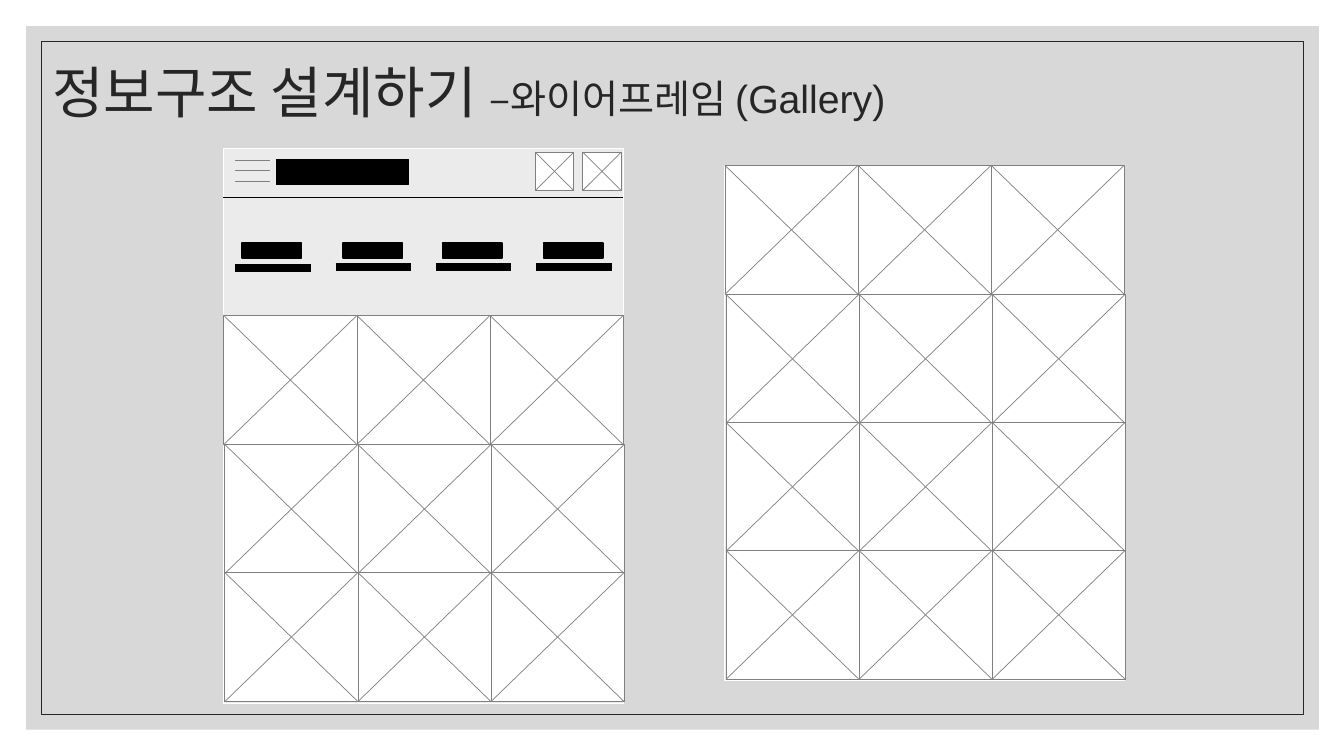
from dataclasses import dataclass

from pptx import Presentation
from pptx.dml import color
from pptx.enum import shapes, text
from pptx.oxml import xmlchemy
from pptx.util import Pt

PX = 9144


@dataclass(frozen=True)
class Theme:
    font: str = "Arial"
    heading_size: int = 40
    subheading_size: int = 28
    ink: str = "262626"
    backdrop: str = "BFBFBF"
    paper: str = "FFFFFF"
    block: str = "000000"
    wire: str = "808080"
    hairline: float = 0.5


THEME = Theme()


def px(*lengths):
    return [length * PX for length in lengths]


def rgb(value):
    return color.RGBColor.from_string(value)


def set_line(line, stroke, weight):
    line.color.rgb = rgb(stroke)
    line.width = Pt(weight)


def add_box(parent, left, top, width, height, fill=None, stroke=None,
            weight=THEME.hairline, opacity=100):
    box = parent.add_shape(shapes.MSO_SHAPE.RECTANGLE, *px(left, top, width, height))
    box.shadow.inherit = False
    if fill:
        box.fill.solid()
        box.fill.fore_color.rgb = rgb(fill)
        if opacity < 100:
            tint = box.element.spPr.xpath("a:solidFill/a:srgbClr")[0]
            alpha = xmlchemy.OxmlElement("a:alpha")
            alpha.set("val", str(opacity * 1000))
            tint.append(alpha)
    else:
        box.fill.background()
    if stroke:
        set_line(box.line, stroke, weight)
    else:
        box.line.fill.background()
    return box


def add_rule(parent, x1, y1, x2, y2, stroke, weight=THEME.hairline):
    rule = parent.add_connector(shapes.MSO_CONNECTOR.STRAIGHT, *px(x1, y1, x2, y2))
    set_line(rule.line, stroke, weight)
    rule.element.spPr.append(xmlchemy.OxmlElement("a:effectLst"))


def add_image_slot(parent, left, top, width, height):
    right, bottom = left + width, top + height
    add_box(parent, left, top, width, height, THEME.paper, THEME.wire)
    add_rule(parent, left, bottom, right, top, THEME.wire)
    add_rule(parent, right, bottom, left, top, THEME.wire)


def add_panel(parent, left, top, width, height):
    return add_box(parent, left, top, width, height, THEME.paper, THEME.paper, 0.75, 50)


def add_gallery(parent, left, top, rows):
    for row in range(rows):
        band = parent.add_group_shape().shapes
        row_left = left + (1 if row else 0)
        row_top = top + round(row * 127.5)
        for column in range(3):
            add_image_slot(band, row_left + column * 132, row_top, 132, 128)


def add_header(parent):
    for icon_left in (578, 531):
        add_image_slot(parent.add_group_shape().shapes, icon_left, 151, 38, 38)
    add_rule(parent, 221, 196, 618, 196, THEME.block)
    add_box(parent, 274, 158, 131, 25, THEME.block, THEME.block, 1)
    hamburger = parent.add_group_shape().shapes
    for y in (159, 169, 180):
        add_rule(hamburger, 233, y, 268, y, THEME.wire)


def add_menu(parent):
    for item in range(4):
        shift = round(item * 99.7)
        y = 265 if item else 266
        add_rule(parent, 233 + shift, y, 308 + shift, y, THEME.block, 6)
        add_box(parent, 240 + shift, 241, 59, 15, THEME.block, THEME.block, 1)


def fill_title(title):
    title.left, title.top, title.width, title.height = px(42, 42, 1100, 105)
    frame = title.text_frame
    frame.word_wrap = True
    frame.auto_size = text.MSO_AUTO_SIZE.NONE
    frame.vertical_anchor = text.MSO_ANCHOR.MIDDLE
    heading = frame.paragraphs[0]
    heading.alignment = text.PP_ALIGN.LEFT
    heading.line_spacing = 0.9
    for words, size in (("정보구조 설계하기 ", THEME.heading_size),
                        ("–와이어프레임 (Gallery)", THEME.subheading_size)):
        run = heading.add_run()
        run.text = words
        run.font.name = THEME.font
        run.font.size = Pt(size)
        run.font.color.rgb = rgb(THEME.ink)


def main():
    deck = Presentation()
    deck.slide_width, deck.slide_height = px(1333, 750)
    slide = deck.slides.add_slide(deck.slide_layouts[5])
    canvas = slide.shapes

    add_box(canvas, 26, 26, 1282, 698, THEME.backdrop, opacity=60)
    add_box(canvas, 41, 41, 1252, 668, stroke=THEME.ink)
    phone = add_panel(canvas, 222, 147, 396, 551)
    fill_title(canvas.title)
    phone.element.addnext(canvas.title.element)

    add_header(canvas)
    add_menu(canvas)
    add_gallery(canvas, 222, 313, 3)
    add_panel(canvas, 719, 164, 396, 511)
    add_gallery(canvas, 719, 164, 4)
    deck.save("out.pptx")


if __name__ == "__main__":
    main()
